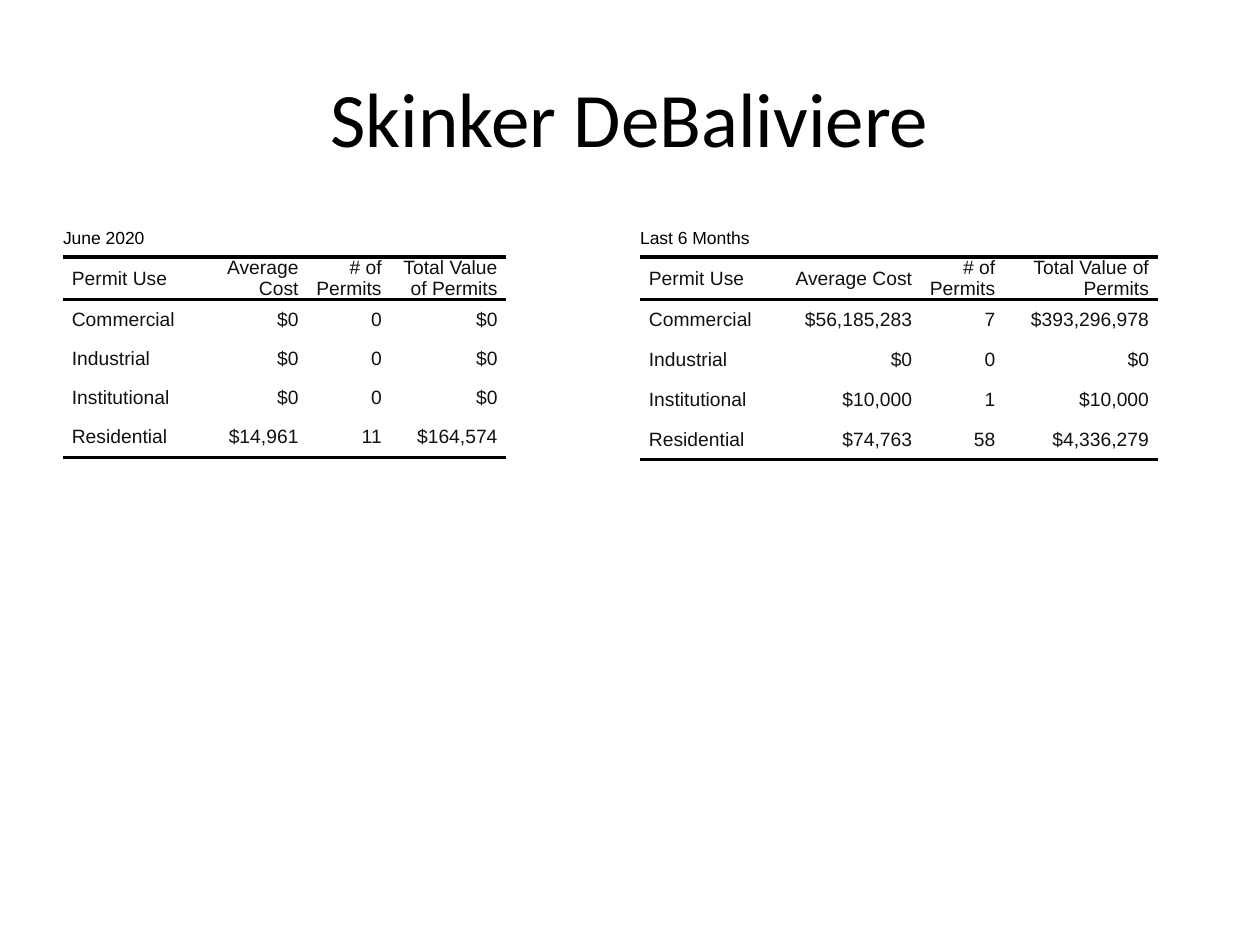
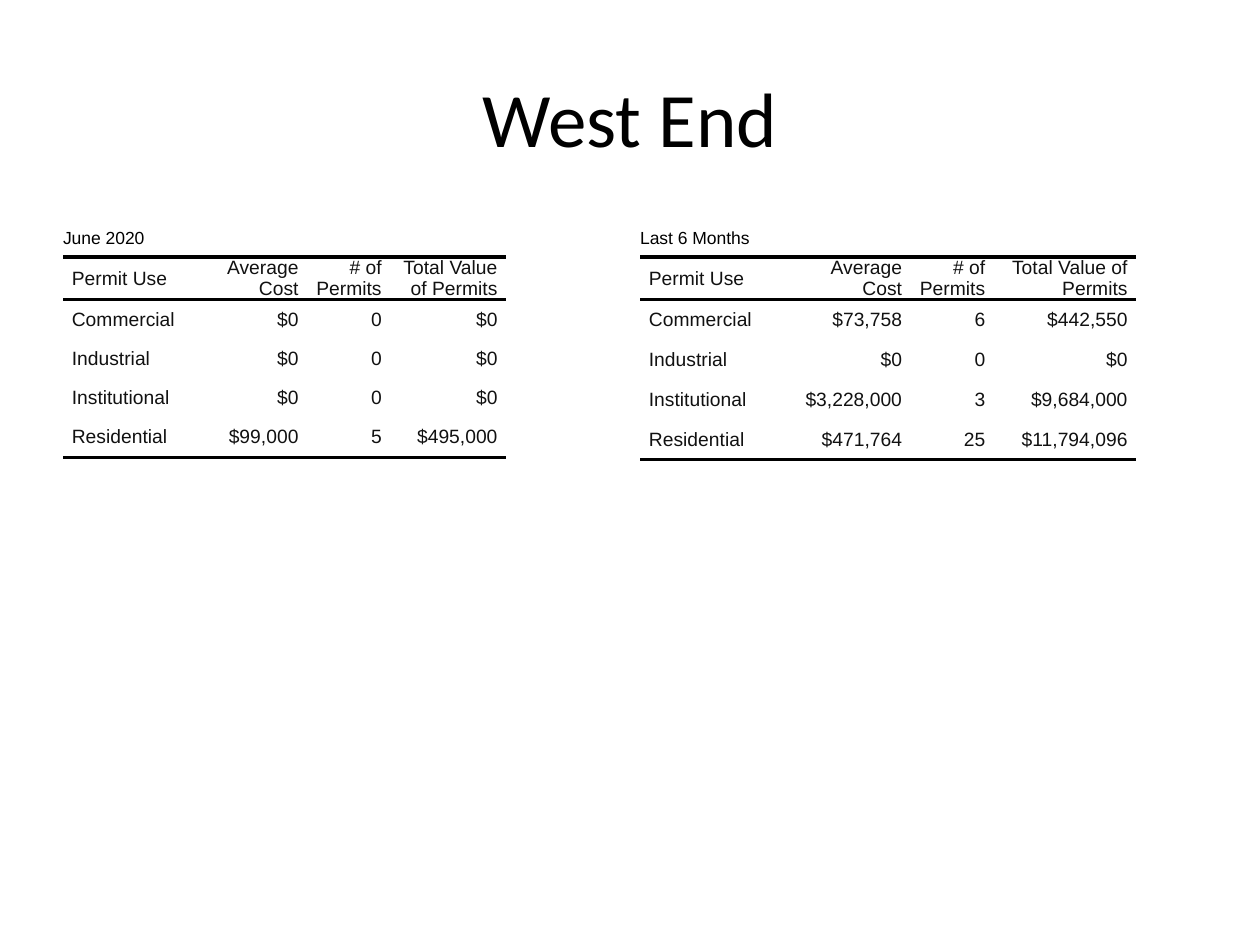
from dataclasses import dataclass

import lxml.etree
import pptx
import pptx.dml.color
import pptx.enum.text
import pptx.oxml.ns
import pptx.slide
import pptx.table
import pptx.util

Inches = pptx.util.Inches
Pt = pptx.util.Pt
RGBColor = pptx.dml.color.RGBColor
ALIGN = pptx.enum.text.PP_ALIGN
MIDDLE = pptx.enum.text.MSO_ANCHOR.MIDDLE
qn = pptx.oxml.ns.qn

BLACK = RGBColor(0x00, 0x00, 0x00)
INK = RGBColor(0x11, 0x11, 0x11)
TITLE_FONT = "Calibri"
TABLE_FONT = "Arial"
PLAIN_TABLE_STYLE = "{2D5ABB26-0587-4C30-8999-92F81FD0307C}"

CELL_INDENT = Inches(0.07)
RULE_WIDTH = Pt(2)
HEADINGS = ("Permit Use", "Average Cost", "# of Permits", "Total Value of Permits")
PERMIT_USES = ("Commercial", "Industrial", "Institutional", "Residential")
USE_WIDTH, COUNT_WIDTH = 1.1, 0.66


@dataclass(frozen=True)
class Period:
    """Where and how the permits of one period are tabulated."""
    caption: str
    left: float
    row_heights: tuple[float, ...]


@dataclass(frozen=True)
class PermitSummary:
    """Average cost, count and total value for each permit use."""
    period: Period
    cost_width: float
    total_width: float
    figures: tuple[tuple[str, str, str], ...]


@dataclass(frozen=True)
class Neighborhood:
    name: str
    summaries: tuple[PermitSummary, ...]


JUNE = Period("June 2020", 0.5, (0.29, 0.29, 0.31, 0.31, 0.31, 0.32))
HALF_YEAR = Period("Last 6 Months", 5.08, (0.29, 0.29, 0.32, 0.31, 0.32, 0.32))
NO_PERMITS = ("$0", "0", "$0")

NEIGHBORHOODS = (
    Neighborhood("Skinker DeBaliviere", (
        PermitSummary(JUNE, 0.84, 0.92, (
            NO_PERMITS, NO_PERMITS, NO_PERMITS,
            ("$14,961", "11", "$164,574"))),
        PermitSummary(HALF_YEAR, 1.13, 1.22, (
            ("$56,185,283", "7", "$393,296,978"),
            NO_PERMITS,
            ("$10,000", "1", "$10,000"),
            ("$74,763", "58", "$4,336,279"))),
    )),
    Neighborhood("West End", (
        PermitSummary(JUNE, 0.84, 0.92, (
            NO_PERMITS, NO_PERMITS, NO_PERMITS,
            ("$99,000", "5", "$495,000"))),
        PermitSummary(HALF_YEAR, 1.05, 1.13, (
            ("$73,758", "6", "$442,550"),
            NO_PERMITS,
            ("$3,228,000", "3", "$9,684,000"),
            ("$471,764", "25", "$11,794,096"))),
    )),
)


def add_rule(cell: pptx.table._Cell, edge: str) -> None:
    """Rule one edge of a cell: lnT is the top, lnB the bottom."""
    line = lxml.etree.SubElement(
        cell._tc.get_or_add_tcPr(), qn(f"a:{edge}"), w=str(RULE_WIDTH))
    fill = lxml.etree.SubElement(line, qn("a:solidFill"))
    lxml.etree.SubElement(fill, qn("a:srgbClr"), val=str(BLACK))


def fill_cell(cell: pptx.table._Cell, text: str, size: int, color: RGBColor,
              alignment: ALIGN = ALIGN.LEFT, indent: int = 0) -> None:
    cell.margin_left = cell.margin_right = 0
    cell.margin_top = cell.margin_bottom = 0
    cell.vertical_anchor = MIDDLE
    cell.fill.background()
    cell.text = text
    paragraph = cell.text_frame.paragraphs[0]
    paragraph.alignment = alignment
    properties = paragraph._p.get_or_add_pPr()
    for side in ("marL", "marR"):
        properties.set(side, str(indent))
    paragraph.font.name = TABLE_FONT
    paragraph.font.size = Pt(size)
    paragraph.font.color.rgb = color


def add_summary(slide: pptx.slide.Slide, summary: PermitSummary) -> None:
    period = summary.period
    rows = [HEADINGS] + [(use, *values) for use, values
                         in zip(PERMIT_USES, summary.figures)]
    width, height = Inches(4.42), Inches(4.95)
    frame = slide.shapes.add_table(
        len(rows) + 1, len(HEADINGS),
        Inches(period.left), Inches(1.75), width, height)
    table = frame.table
    table.first_row = table.horz_banding = False
    table._tbl.tblPr.find(qn("a:tableStyleId")).text = PLAIN_TABLE_STYLE

    widths = (USE_WIDTH, summary.cost_width, COUNT_WIDTH, summary.total_width)
    for column, column_width in zip(table.columns, widths):
        column.width = Inches(column_width)
    for row, row_height in zip(table.rows, period.row_heights):
        row.height = Inches(row_height)
    frame.width, frame.height = width, height

    caption = table.cell(0, 0)
    caption.merge(table.cell(0, len(HEADINGS) - 1))
    fill_cell(caption, period.caption, 10, BLACK)

    for row_number, texts in enumerate(rows, start=1):
        for column_number, text in enumerate(texts):
            cell = table.cell(row_number, column_number)
            if row_number == 1:
                add_rule(cell, "lnT")
            if row_number in (1, len(rows)):
                add_rule(cell, "lnB")
            alignment = ALIGN.RIGHT if column_number else ALIGN.LEFT
            fill_cell(cell, text, 11, INK, alignment, CELL_INDENT)


def set_title(slide: pptx.slide.Slide, name: str) -> None:
    title = slide.shapes.title
    title.left, title.top = Inches(0.5), Inches(0.3)
    title.width, title.height = Inches(9), Inches(1.25)
    title.text_frame.text = name
    title.text_frame.vertical_anchor = MIDDLE
    paragraph = title.text_frame.paragraphs[0]
    paragraph.alignment = ALIGN.CENTER
    paragraph.font.name = TITLE_FONT
    paragraph.font.size = Pt(44)
    paragraph.font.color.rgb = BLACK


def main() -> None:
    presentation = pptx.Presentation()
    presentation.slide_width = Inches(10)
    presentation.slide_height = Inches(7.5)
    title_only = presentation.slide_layouts.get_by_name("Title Only")
    for neighborhood in NEIGHBORHOODS:
        slide = presentation.slides.add_slide(title_only)
        set_title(slide, neighborhood.name)
        for summary in neighborhood.summaries:
            add_summary(slide, summary)
    presentation.save("out.pptx")


if __name__ == "__main__":
    main()
